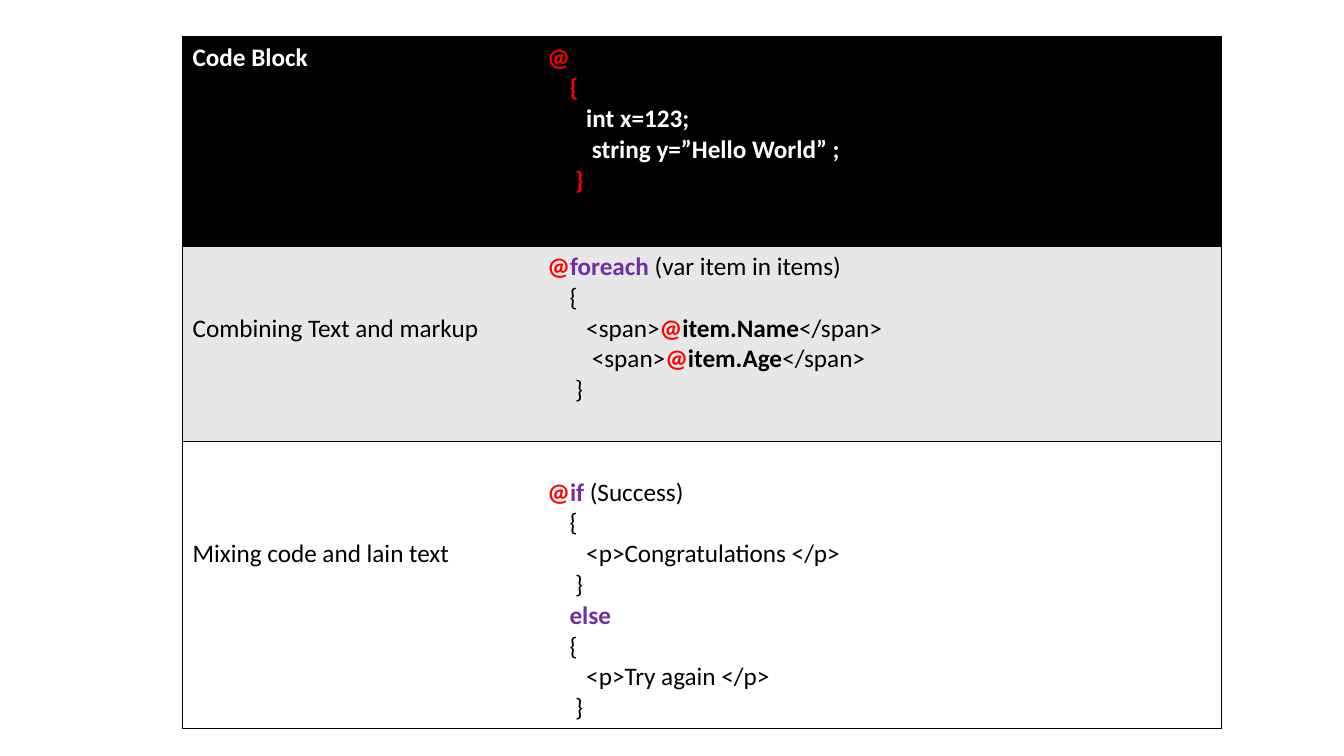
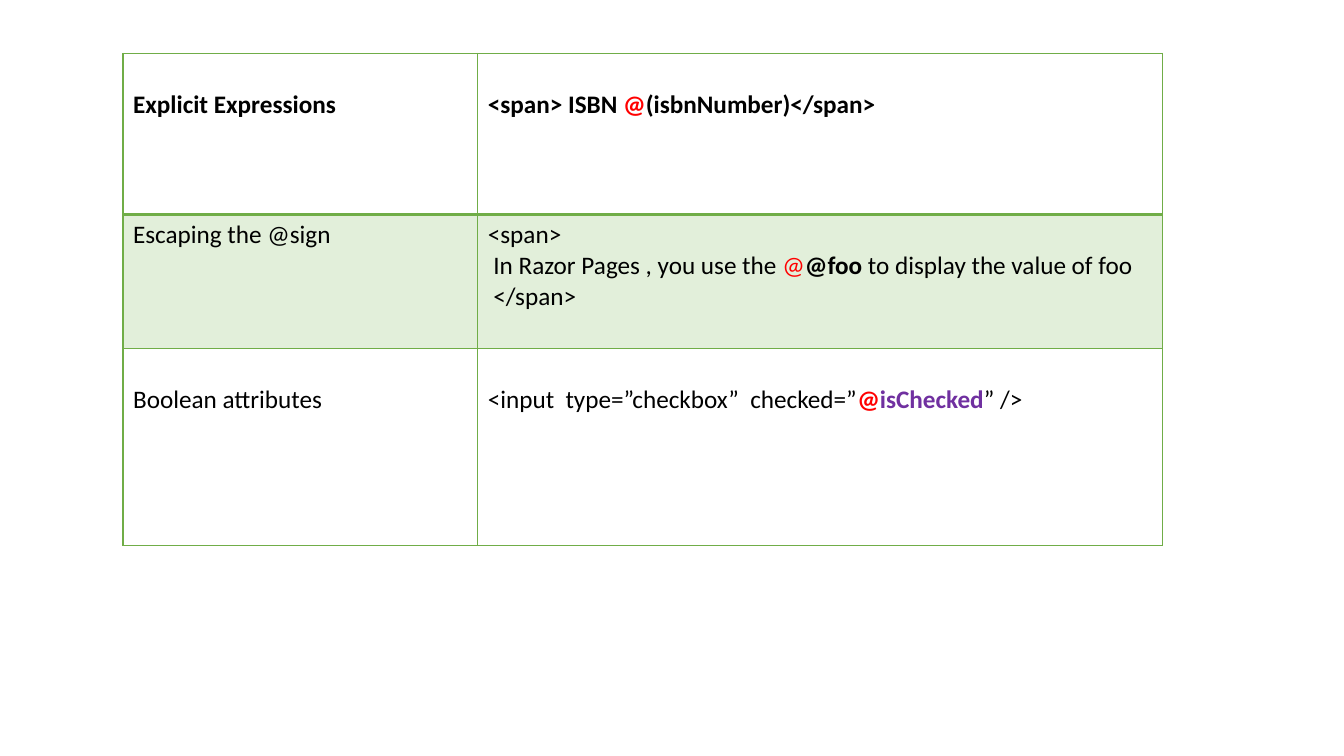
import dataclasses

import lxml.etree
import pptx
import pptx.dml.color
import pptx.oxml.ns
import pptx.util

Cm = pptx.util.Cm
qn = pptx.oxml.ns.qn


@dataclasses.dataclass(frozen=True)
class Theme:
    font: str = "Calibri"
    size: int = 18
    line_height: float = 0.775
    space_width: float = 0.14
    cell_margin: float = 0.13
    black: str = "000000"
    white: str = "FFFFFF"
    red: str = "FF0000"
    purple: str = "7030A0"
    grey: str = "E7E7E7"
    green: str = "70AD47"
    pale_green: str = "E2EFDA"
    plain_table: str = "{2D5ABB26-0587-4C30-8999-92F81FD0307C}"


theme = Theme()
plain = dict(color=theme.black, bold=False)
strong = dict(color=theme.black, bold=True)
light = dict(color=theme.white, bold=True)
sign = dict(color=theme.red, bold=True)
thin_sign = dict(color=theme.red, bold=False)
keyword = dict(color=theme.purple, bold=True)


def add_text(paragraph, text, color, bold):
    run = paragraph.add_run()
    run.text = text
    run.font.name = theme.font
    run.font.size = pptx.util.Pt(theme.size)
    run.font.bold = bold
    run.font.color.rgb = pptx.dml.color.RGBColor.from_string(color)


def add_border(cell, side, color, width):
    properties = cell._tc.get_or_add_tcPr()
    line = lxml.etree.SubElement(properties, qn(f"a:ln{side}"), w=str(pptx.util.Pt(width)))
    fill = lxml.etree.SubElement(line, qn("a:solidFill"))
    lxml.etree.SubElement(fill, qn("a:srgbClr"), val=color)


razor_blocks = dict(
    left=4.6, top=0.93, border=theme.black, header_line=1, column_sides=("LTB", "RTB"),
    rows=[
        dict(height=5.28, fill=theme.black, skipped=(0, 0),
             label=("Code Block", light),
             code=[
                 (0, [("@", sign)]),
                 (4, [("{", sign)]),
                 (7, [("int x=123;", light)]),
                 (8, [("string y=”Hello World” ;", light)]),
                 (5, [("}", sign)]),
             ]),
        dict(height=4.91, fill=theme.grey, skipped=(2, 0),
             label=("Combining Text and markup", plain),
             code=[
                 (0, [("@", sign), ("foreach", keyword), (" (var item in items)", plain)]),
                 (4, [("{", plain)]),
                 (7, [("<span>", plain), ("@", sign), ("item.Name", strong), ("</span>", plain)]),
                 (8, [("<span>", plain), ("@", sign), ("item.Age", strong), ("</span>", plain)]),
                 (5, [("}", plain)]),
             ]),
        dict(height=7.23, fill=theme.white, skipped=(3, 1),
             label=("Mixing code and lain text", plain),
             code=[
                 (0, [("@", sign), ("if ", keyword), ("(Success)", plain)]),
                 (4, [("{", plain)]),
                 (7, [("<p>Congratulations </p>", plain)]),
                 (5, [("}", plain)]),
                 (4, [("else", keyword)]),
                 (4, [("{", plain)]),
                 (7, [("<p>Try again </p>", plain)]),
                 (5, [("}", plain)]),
             ]),
    ],
)

razor_expressions = dict(
    left=3.1, top=1.35, border=theme.green, header_line=2, column_sides=("LRTB", "LRTB"),
    rows=[
        dict(height=4.06, fill=None, skipped=(1, 1),
             label=("Explicit Expressions", strong),
             code=[
                 (0, [("<span> ISBN ", strong), ("@", sign), ("(isbnNumber)</span>", strong)]),
             ]),
        dict(height=3.38, fill=theme.pale_green, skipped=(0, 0),
             label=("Escaping the @sign", plain),
             code=[
                 (0, [("<span>", plain)]),
                 (1, [("In Razor Pages , you use the ", plain), ("@", thin_sign),
                      ("@foo ", strong), ("to display the value of foo", plain)]),
                 (1, [("</span>", plain)]),
             ]),
        dict(height=4.95, fill=None, skipped=(1, 1),
             label=("Boolean attributes", plain),
             code=[
                 (0, [("<input  type=”checkbox”  checked=”", plain), ("@", sign),
                      ("isChecked", keyword), ("” />", plain)]),
             ]),
    ],
)

column_widths = (8.94, 17.25)

presentation = pptx.Presentation()
presentation.slide_width = Cm(33.87)
presentation.slide_height = Cm(19.05)

for content in (razor_blocks, razor_expressions):
    slide = presentation.slides.add_slide(presentation.slide_layouts[6])
    rows = content["rows"]
    table = slide.shapes.add_table(
        len(rows), len(column_widths), Cm(content["left"]), Cm(content["top"]),
        Cm(sum(column_widths)), Cm(sum(row["height"] for row in rows)),
    ).table
    table.first_row = False
    table.horz_banding = False
    table._tbl.tblPr.find(qn("a:tableStyleId")).text = theme.plain_table
    for column, width in zip(table.columns, column_widths):
        column.width = Cm(width)

    for row_index, row in enumerate(rows):
        table.rows[row_index].height = Cm(row["height"])
        cell_lines = ([(0, [row["label"]])], row["code"])
        for column_index, lines in enumerate(cell_lines):
            cell = table.cell(row_index, column_index)
            skipped_height = row["skipped"][column_index] * theme.line_height
            cell.margin_top = Cm(theme.cell_margin + skipped_height)
            for side in content["column_sides"][column_index]:
                at_header = (row_index, side) in ((0, "B"), (1, "T"))
                add_border(cell, side, content["border"], content["header_line"] if at_header else 1)
            if row["fill"]:
                cell.fill.solid()
                cell.fill.fore_color.rgb = pptx.dml.color.RGBColor.from_string(row["fill"])
            else:
                cell.fill.background()
            for line_index, (indent, segments) in enumerate(lines):
                frame = cell.text_frame
                paragraph = frame.add_paragraph() if line_index else frame.paragraphs[0]
                paragraph._p.get_or_add_pPr().set("marL", str(Cm(indent * theme.space_width)))
                for text, style in segments:
                    add_text(paragraph, text, **style)

presentation.save("out.pptx")
